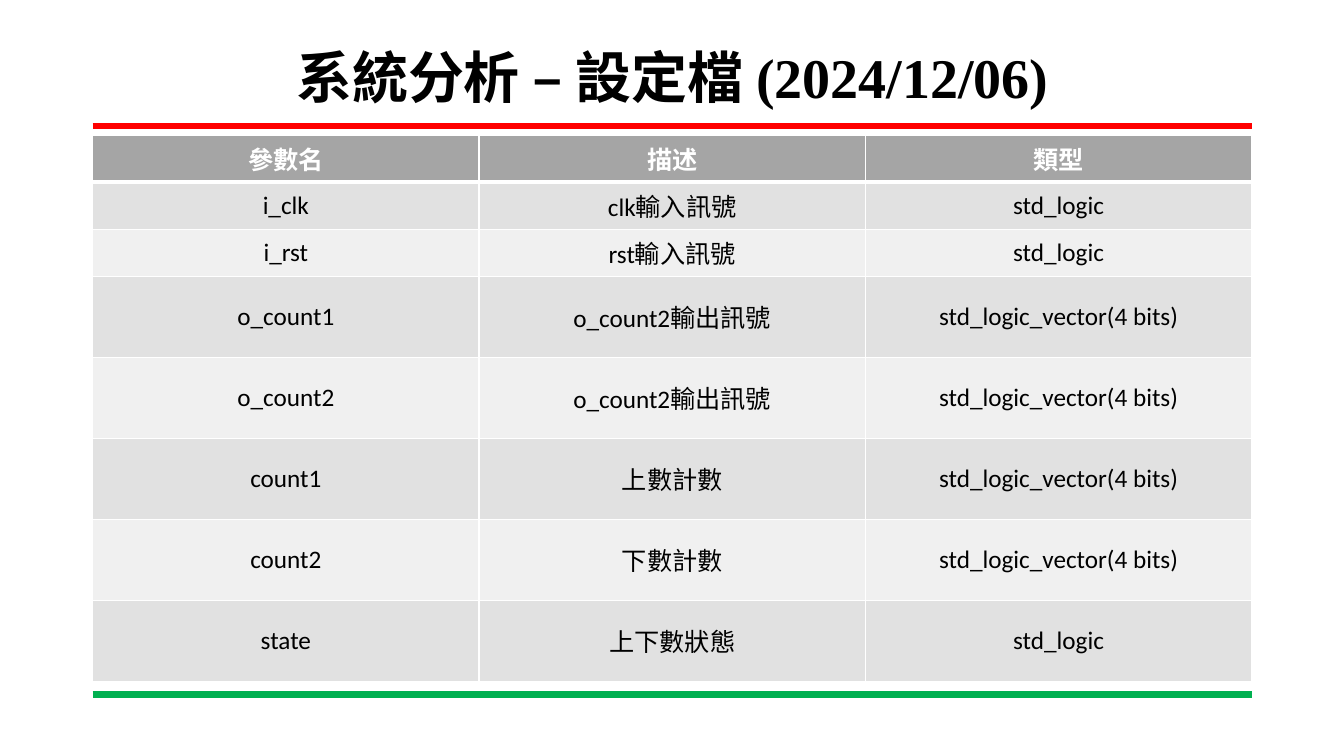
from lxml.etree import SubElement
from pptx import Presentation
from pptx.dml.color import RGBColor
from pptx.enum.shapes import MSO_CONNECTOR
from pptx.enum.text import MSO_ANCHOR, PP_ALIGN
from pptx.oxml.ns import qn
from pptx.util import Pt

TITLE = "系統分析 – 設定檔 (2024/12/06)"
ROWS = [
    ("參數名", "描述", "類型"),
    ("i_clk", "clk輸入訊號", "std_logic"),
    ("i_rst", "rst輸入訊號", "std_logic"),
    ("o_count1", "o_count2輸出訊號", "std_logic_vector(4 bits)"),
    ("o_count2", "o_count2輸出訊號", "std_logic_vector(4 bits)"),
    ("count1", "上數計數", "std_logic_vector(4 bits)"),
    ("count2", "下數計數", "std_logic_vector(4 bits)"),
    ("state", "上下數狀態", "std_logic"),
]

BLACK = RGBColor(0x00, 0x00, 0x00)
WHITE = RGBColor(0xFF, 0xFF, 0xFF)
RED = RGBColor(0xFF, 0x00, 0x00)
GREEN = RGBColor(0x00, 0xB0, 0x50)
HEADER_GRAY = RGBColor(0xA5, 0xA5, 0xA5)
BAND_GRAYS = (RGBColor(0xF0, 0xF0, 0xF0), RGBColor(0xE1, 0xE1, 0xE1))

LEFT, WIDTH = 66.2, 828
TABLE_TOP = 96.5
SHORT_ROWS, SHORT_HEIGHT, TALL_HEIGHT = 3, 33.7, 57.8
RULES = [(90, RED), (496, GREEN)]


def write(tf, text, font, size, color, bold):
    p = tf.paragraphs[0]
    p.alignment = PP_ALIGN.CENTER
    r = p.add_run()
    r.text = text
    r.font.name = font
    r.font.size = Pt(size)
    r.font.bold = bold
    r.font.color.rgb = color
    return p


def add_rule(s, y, color):
    line = s.shapes.add_connector(
        MSO_CONNECTOR.STRAIGHT, Pt(LEFT), Pt(y), Pt(LEFT + WIDTH), Pt(y))
    line.line.color.rgb = color
    line.line.width = Pt(4.5)
    SubElement(line._element.spPr, qn("a:effectLst"))


def set_borders(cell, widths):
    """Draw white borders; widths are left, right, top, bottom in points."""
    tcPr = cell._tc.get_or_add_tcPr()
    for side, width in zip("LRTB", widths):
        ln = SubElement(tcPr, qn(f"a:ln{side}"), w=str(Pt(width)))
        fill = SubElement(ln, qn("a:solidFill"))
        SubElement(fill, qn("a:srgbClr"), val=str(WHITE))


def add_parameter_table(s):
    heights = [SHORT_HEIGHT if i < SHORT_ROWS else TALL_HEIGHT
               for i in range(len(ROWS))]
    table = s.shapes.add_table(
        len(ROWS), len(ROWS[0]), Pt(LEFT), Pt(TABLE_TOP),
        Pt(WIDTH), Pt(sum(heights))).table
    for i, values in enumerate(ROWS):
        table.rows[i].height = Pt(heights[i])
        header = i == 0
        for j, text in enumerate(values):
            cell = table.cell(i, j)
            cell.vertical_anchor = MSO_ANCHOR.MIDDLE
            set_borders(cell, (1, 1, 3 if i == 1 else 1, 3 if header else 1))
            cell.fill.solid()
            cell.fill.fore_color.rgb = HEADER_GRAY if header else BAND_GRAYS[i % 2]
            write(cell.text_frame, text, "Calibri", 18,
                  WHITE if header else BLACK, header)


def main():
    prs = Presentation()
    prs.slide_width, prs.slide_height = Pt(960), Pt(540)
    s = prs.slides.add_slide(prs.slide_layouts[5])

    title = s.shapes.title
    title.left, title.top = Pt(LEFT), Pt(28.8)
    title.width, title.height = Pt(WIDTH), Pt(56.9)
    title.text_frame.vertical_anchor = MSO_ANCHOR.MIDDLE
    p = write(title.text_frame, TITLE, "Times New Roman", 40, BLACK, True)
    p.line_spacing = 0.9

    for y, color in RULES:
        add_rule(s, y, color)
    add_parameter_table(s)
    prs.save("out.pptx")


if __name__ == "__main__":
    main()
